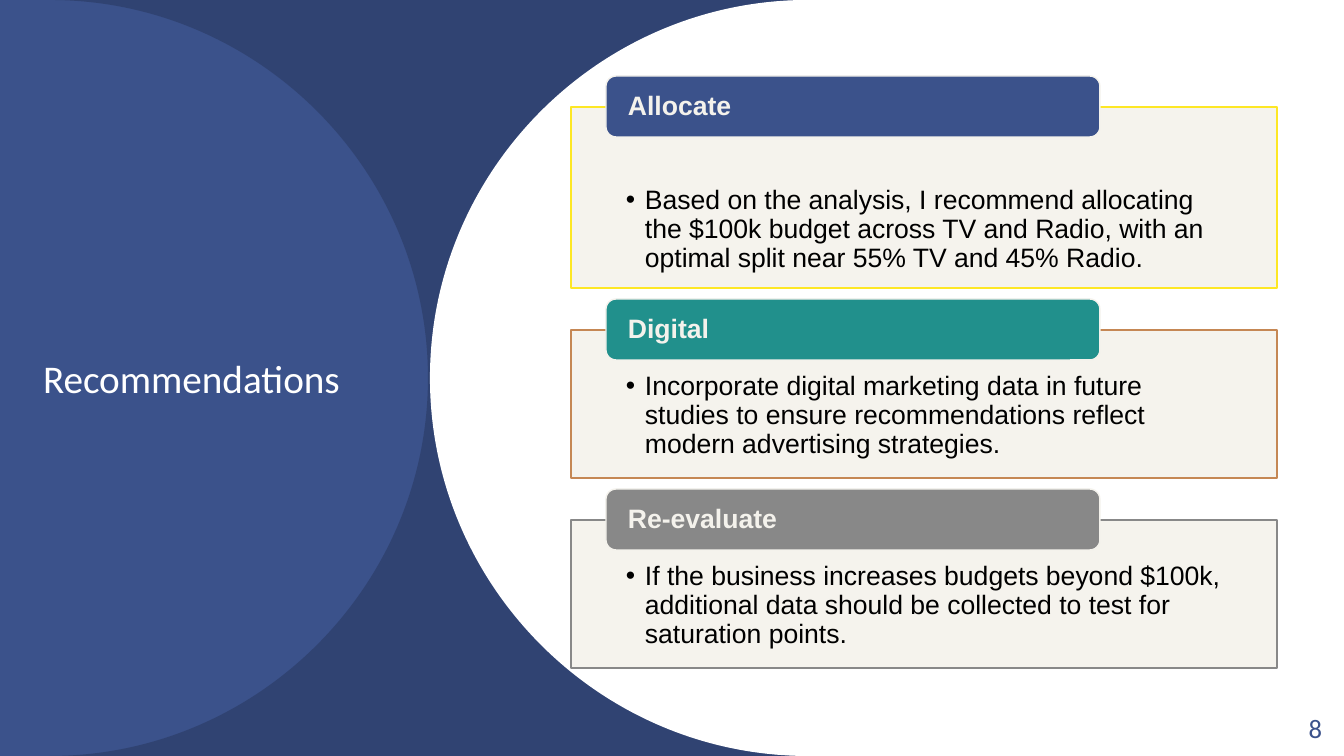
from lxml import etree
from pptx import Presentation
from pptx.dml.color import RGBColor
from pptx.enum.shapes import MSO_SHAPE
from pptx.enum.text import MSO_ANCHOR, PP_ALIGN
from pptx.oxml.ns import qn
from pptx.util import Emu, Pt

RECT, ROUNDED = MSO_SHAPE.RECTANGLE, MSO_SHAPE.ROUNDED_RECTANGLE
TOP, MIDDLE = MSO_ANCHOR.TOP, MSO_ANCHOR.MIDDLE
LEFT, RIGHT = PP_ALIGN.LEFT, PP_ALIGN.RIGHT

COLORS = {
    "white": "FFFFFF", "black": "000000", "blue": "3B528B", "navy": "2C3D68",
    "cream": "F4F2EC", "yellow": "FDE725", "teal": "21908C",
    "orange": "C58754", "gray": "888888",
}
TITLE = "Recommendations"
PAGE_NUMBER = "8"
CARDS = [
    ("Allocate", "Based on the analysis, I recommend allocating the $100k budget across TV and Radio, "
     "with an optimal split near 55% TV and 45% Radio.", "blue", "yellow", 181, 80),
    ("Digital", "Incorporate digital marketing data in future studies to ensure recommendations "
     "reflect modern advertising strategies.", "teal", "orange", 148, 43),
    ("Re-evaluate", "If the business increases budgets beyond $100k, additional data should be "
     "collected to test for saturation points.", "gray", "gray", 148, 43),
]
WIDTH, HEIGHT = 1344, 756
RADIUS = HEIGHT // 2
HANDLE = 0.55
CURVES = [
    ("blue", 100, 810, -1, 0),
    ("navy", 70, 50, 1, 861),
    ("white", 100, 808, -1, 1086),
]
CARD_LEFT, CARD_TOP, CARD_WIDTH, CARD_GAP = 571, 107, 706, 42
LABEL_LEFT, LABEL_WIDTH, LABEL_HEIGHT, LABEL_RISE = 606, 494, 61, 31
HANG = 19


def px(length):
    return Emu(round(length * 12192000 / WIDTH))


def color(name):
    return RGBColor.from_string(COLORS[name])


def paint(shape, fill, opacity=100, line=None):
    shape.shadow.inherit = False
    shape.fill.solid()
    shape.fill.fore_color.rgb = color(fill)
    if opacity < 100:
        tone = shape.fill._xPr.find(qn("a:solidFill"))[0]
        etree.SubElement(tone, qn("a:alpha"), val=str(opacity * 1000))
    if line:
        shape.line.color.rgb = color(line)
        shape.line.width = Pt(1)
    else:
        shape.line.fill.background()


def write(shape, text, size, font, tone, anchor=MIDDLE, align=LEFT,
          insets=(10, 5, 10, 5), bold=False, spacing=0.9):
    frame = shape.text_frame
    frame.word_wrap = True
    frame.vertical_anchor = anchor
    frame.margin_left, frame.margin_top, frame.margin_right, frame.margin_bottom = map(px, insets)
    para = frame.paragraphs[0]
    para.alignment = align
    para.line_spacing = spacing
    span = para.add_run()
    span.text = text
    span.font.size = Pt(size)
    span.font.name = font
    span.font.bold = bold
    span.font.color.rgb = color(tone)
    return para


def add_bullet(para):
    props = para._p.get_or_add_pPr()
    props.set("marL", str(px(HANG)))
    props.set("indent", str(-px(HANG)))
    etree.SubElement(props, qn("a:buFont"), typeface="Arial")
    etree.SubElement(props, qn("a:buChar"), char="•")


def add_curve(page, fill, opacity, center, side, edge):
    near, far = center + side * RADIUS * HANDLE, center + side * RADIUS
    reach = RADIUS * HANDLE
    points = [(center, 0), (near, 0), (far, RADIUS - reach), (far, RADIUS),
              (far, RADIUS + reach), (near, HEIGHT), (center, HEIGHT), (edge, HEIGHT)]
    outline = page.shapes.build_freeform(px(edge), 0, scale=1)
    outline.add_line_segments([(px(x), px(y)) for x, y in points], close=True)
    panel = outline.convert_to_shape()
    steps = list(panel._element.iter(qn("a:lnTo")))
    for start in (1, 4):
        bend = etree.Element(qn("a:cubicBezTo"))
        steps[start].addprevious(bend)
        for step in steps[start:start + 3]:
            bend.append(step[0])
            step.getparent().remove(step)
    paint(panel, fill, opacity)


def add_card(page, top, heading, body, fill, line, height, inset):
    card = page.shapes.add_shape(RECT, px(CARD_LEFT), px(top), px(CARD_WIDTH), px(height))
    paint(card, "cream", 90, line)
    add_bullet(write(card, body, 19, "Arial", "black", TOP, insets=(55, inset, 54, 15)))
    label = page.shapes.add_shape(ROUNDED, px(LABEL_LEFT), px(top - LABEL_RISE),
                                  px(LABEL_WIDTH), px(LABEL_HEIGHT))
    paint(label, fill, line="cream")
    write(label, heading, 19, "Arial", "cream", insets=(19, 0, 19, 0), bold=True)


def main():
    deck = Presentation()
    deck.slide_width, deck.slide_height = px(WIDTH), px(HEIGHT)
    page = deck.slides.add_slide(deck.slide_layouts[6])
    backdrop = page.shapes.add_shape(RECT, 0, 0, px(WIDTH), px(HEIGHT))
    paint(backdrop, "white")
    for curve in CURVES:
        add_curve(page, *curve)
    title = page.shapes.add_textbox(px(33), px(75), px(396), px(605))
    write(title, TITLE, 28, "Calibri", "white", spacing=1.0)
    top = CARD_TOP
    for card in CARDS:
        add_card(page, top, *card)
        top += card[4] + CARD_GAP
    number = page.shapes.add_textbox(px(1255), px(710), px(77), px(40))
    write(number, PAGE_NUMBER, 19, "Calibri", "blue", align=RIGHT)
    deck.save("out.pptx")


if __name__ == "__main__":
    main()
